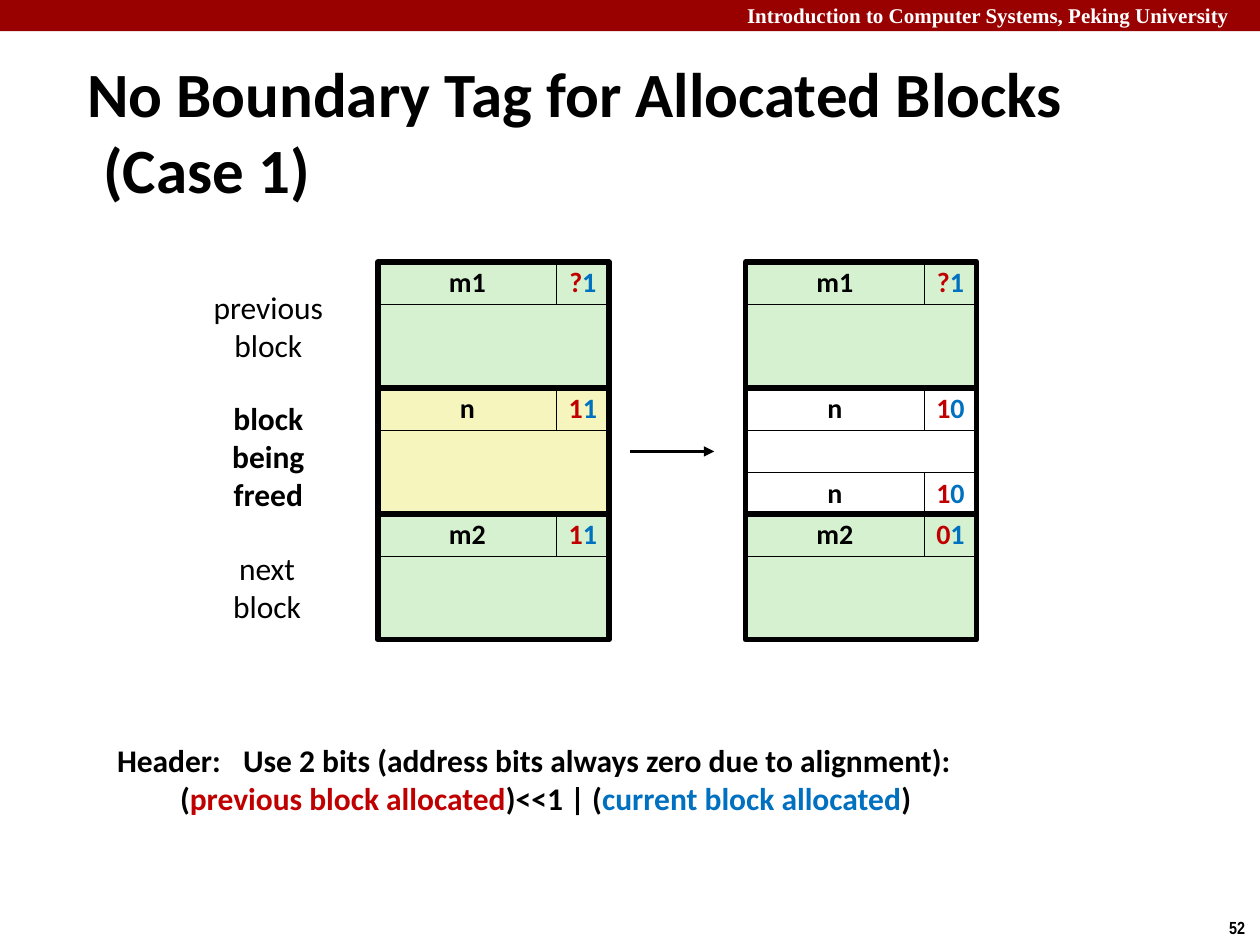
from pptx import Presentation
from pptx.dml.color import RGBColor as RGB
from pptx.enum.shapes import MSO_CONNECTOR as CONN, MSO_SHAPE as SHAPE
from pptx.enum.text import MSO_ANCHOR as ANCHOR, MSO_AUTO_SIZE as AUTO, PP_ALIGN as ALIGN
from pptx.oxml.ns import qn
from pptx.util import Cm, Pt
from lxml import etree

COLORS = {
    "black": "000000", "white": "FFFFFF", "banner": "990000",
    "green": "D5F1CF", "yellow": "F6F5BD", "red": "C00000", "blue": "0070C0",
}


def add_rect(x, y, w, h, fill=None, line=None):
    sp = s.shapes.add_shape(SHAPE.RECTANGLE, Cm(x), Cm(y), Cm(w), Cm(h))
    sp.shadow.inherit = False
    if fill:
        sp.fill.solid()
        sp.fill.fore_color.rgb = RGB.from_string(COLORS[fill])
    else:
        sp.fill.background()
    if line:
        sp.line.color.rgb = RGB.from_string(COLORS["black"])
        sp.line.width = Pt(line)
    else:
        sp.line.fill.background()
    return sp


def write(sp, runs, size, align=ALIGN.LEFT, bold=True, font="Calibri", wrap=False):
    """Fill a shape with (text, colour) runs; \\v in a text breaks the line."""
    tf = sp.text_frame
    tf.word_wrap = wrap
    p = tf.paragraphs[0]
    p.alignment = align
    p.font.name, p.font.size, p.font.bold = font, Pt(size), bold
    for text, color in runs:
        for i, part in enumerate(text.split("\v")):
            if i:
                p.add_line_break()
            r = p.add_run()
            r.text = part
            r.font.color.rgb = RGB.from_string(COLORS[color])
    return p


prs = Presentation()
prs.slide_width, prs.slide_height = Cm(25.4), Cm(19.05)
s = prs.slides.add_slide(prs.slide_layouts[5])

# Banner and page number
add_rect(0, 0, 25.4, 0.63, "banner")
sp = s.shapes.add_textbox(Cm(14.81), Cm(-0.08), Cm(10.77), Cm(0.77))
write(sp, [("Introduction to Computer Systems, Peking University", "white")], 12,
      font="Times New Roman", wrap=True)
sp = s.shapes.add_textbox(Cm(24.53), Cm(18.37), Cm(0.87), Cm(0.68))
write(sp, [("52", "black")], 10, font="Arial Narrow")

# Title
title = s.shapes.title
title.left, title.top, title.width, title.height = Cm(1.5), Cm(1.83), Cm(23.7), Cm(1.6)
title.text_frame.auto_size = AUTO.NONE
title.text_frame.vertical_anchor = ANCHOR.MIDDLE
p = write(title, [("No Boundary Tag for Allocated Blocks\v(Case 1)", "black")], 36, wrap=True)
pPr = p._p.get_or_add_pPr()
pPr.set("marL", str(Cm(0.33)))
pPr.set("indent", str(-Cm(0.33)))

# Memory blocks before and after freeing: fill, then (row, size, bits) tags
TOP, BLOCK_W, BLOCK_H = 5.28, 4.66, 2.54
SIZE_W, ROW_H = 3.6, 0.85
columns = [
    (7.62, [("green", [(0, "m1", "?1")]),
            ("yellow", [(0, "n", "11")]),
            ("green", [(0, "m2", "11")])]),
    (15.03, [("green", [(0, "m1", "?1")]),
             ("white", [(0, "n", "10"), (2, "n", "10")]),
             ("green", [(0, "m2", "01")])]),
]
for x, blocks in columns:
    for i, (fill, tags) in enumerate(blocks):
        y = TOP + i * BLOCK_H
        add_rect(x, y + ROW_H, BLOCK_W, BLOCK_H - ROW_H, fill, 0.25)
        for row, size, bits in tags:
            row_y = y + row * ROW_H
            cells = [(x, SIZE_W, [(size, "black")]),
                     (x + SIZE_W, BLOCK_W - SIZE_W, [(bits[0], "red"), (bits[1], "blue")])]
            for cell_x, cell_w, runs in cells:
                sp = add_rect(cell_x, row_y, cell_w, ROW_H, fill, 0.25)
                sp.text_frame.vertical_anchor = ANCHOR.MIDDLE
                write(sp, runs, 16, ALIGN.CENTER).line_spacing = 0.98
        add_rect(x, y, BLOCK_W, BLOCK_H, line=3)

# Arrow from before to after
arrow = s.shapes.add_connector(CONN.STRAIGHT, Cm(12.7), Cm(9.1), Cm(14.4), Cm(9.1))
arrow.line.color.rgb = RGB.from_string(COLORS["black"])
arrow.line.width = Pt(2)
etree.SubElement(arrow.line._get_or_add_ln(), qn("a:tailEnd"), type="triangle")
etree.SubElement(arrow._element.spPr, qn("a:effectLst"))

# Block labels
labels = [
    ("previous\vblock", 4.01, 5.69, 2.8, 1.8, False),
    ("block\vbeing\vfreed", 4.42, 7.92, 1.98, 2.57, True),
    ("next\vblock", 4.42, 10.95, 1.93, 1.8, False),
]
for text, x, y, w, h, bold in labels:
    sp = s.shapes.add_textbox(Cm(x), Cm(y), Cm(w), Cm(h))
    write(sp, [(text, "black")], 18, ALIGN.CENTER, bold)

# Header encoding
sp = s.shapes.add_textbox(Cm(2.11), Cm(14.81), Cm(17.93), Cm(1.8))
write(sp, [
    ("Header: \tUse 2 bits (address bits always zero due to alignment):\v\t(", "black"),
    ("previous block allocated", "red"),
    (")<<1 | (", "black"),
    ("current block allocated", "blue"),
    (")", "black"),
], 18)

prs.save("out.pptx")
